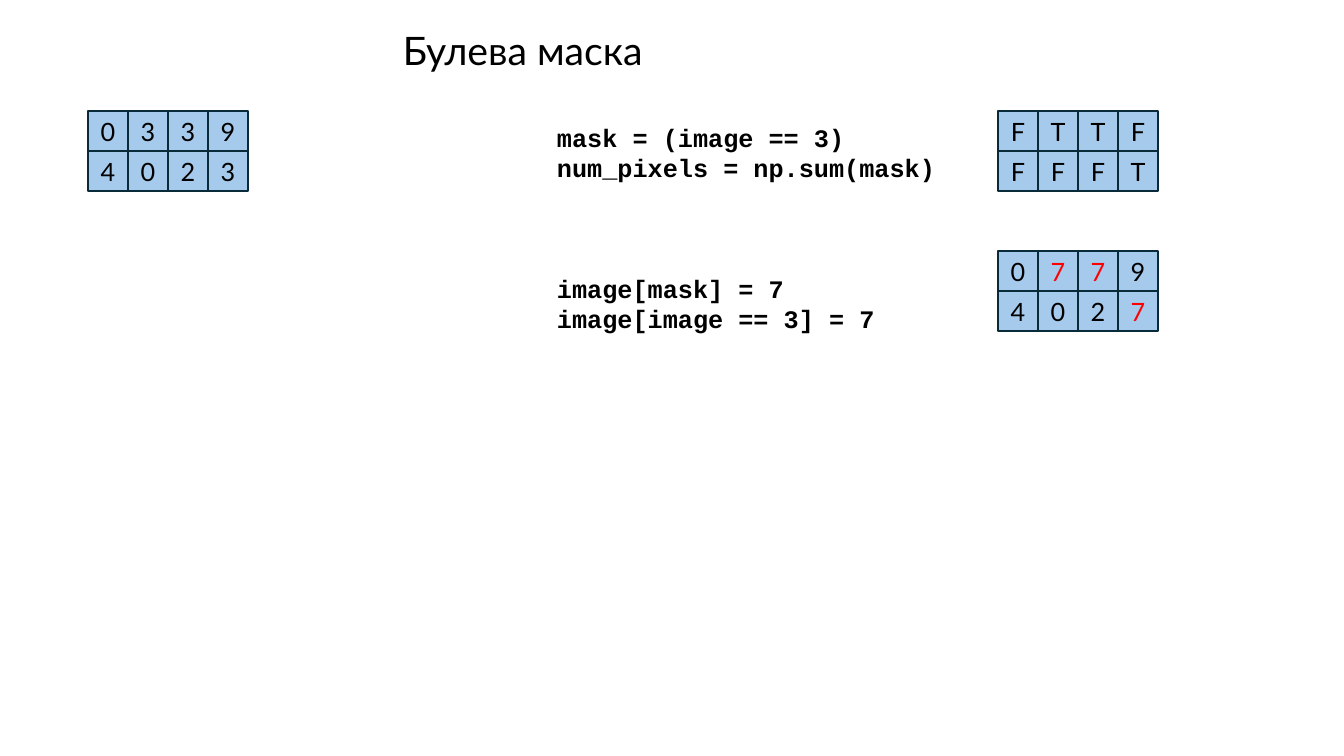
from pptx import Presentation, util as u
from pptx.dml.color import RGBColor
from pptx.enum import shapes, text

theme = {
    "ink": "000000", "mark": "FF0000", "fill": "A6CAEC", "edge": "092A39",
    "sans": "Lato", "mono": "Courier New",
    "head": 28, "body": 18, "line": 1.5, "lead": 21.6, "gap": 64.8,
}


def px(n):
    return u.Emu(round(n * 914400 / 100.8))


def write(frame, lines, size, face, ink="ink", bold=False, align=text.PP_ALIGN.LEFT):
    frame.text = "\n".join(lines)
    for para in frame.paragraphs:
        para.alignment = align
        font = para.runs[0].font
        look = {"name": theme[face], "size": u.Pt(theme[size]), "bold": bold}
        for key, val in look.items():
            setattr(font, key, val)
        font.color.rgb = RGBColor.from_string(theme[ink])


deck = Presentation()
deck.slide_width, deck.slide_height = px(1344), px(756)
slide = deck.slides.add_slide(deck.slide_layouts[6])

title = slide.shapes.add_textbox(px(393), px(21), px(261), px(57)).text_frame
title.word_wrap = False
write(title, ["Булева маска"], "head", "sans")

code = slide.shapes.add_textbox(px(547), px(85), px(400), px(316)).text_frame
code.word_wrap = False
code.margin_top = px(37)
write(code, [
    "mask = (image == 3)",
    "num_pixels = np.sum(mask)",
    "image[mask] = 7",
    "image[image == 3] = 7",
], "body", "mono", bold=True)
for para in code.paragraphs:
    para.line_spacing = u.Pt(theme["lead"])
code.paragraphs[2].space_before = u.Pt(theme["gap"])

side = 40
grids = [
    (88, 111, ["0339", "4023"]),
    (998, 111, ["FTTF", "FFFT"]),
    (998, 251, ["0779", "4027"]),
]
for left, top, rows in grids:
    for r, row in enumerate(rows):
        for c, sign in enumerate(row):
            cell = slide.shapes.add_shape(
                shapes.MSO_SHAPE.RECTANGLE,
                px(left + c * side), px(top + r * side), px(side), px(side))
            cell.shadow.inherit = False
            cell.fill.solid()
            cell.fill.fore_color.rgb = RGBColor.from_string(theme["fill"])
            cell.line.color.rgb = RGBColor.from_string(theme["edge"])
            cell.line.width = u.Pt(theme["line"])
            frame = cell.text_frame
            frame.vertical_anchor = text.MSO_ANCHOR.MIDDLE
            for edge in ("left", "right", "top", "bottom"):
                setattr(frame, f"margin_{edge}", 0)
            ink = "mark" if sign == "7" else "ink"
            write(frame, [sign], "body", "sans", ink, align=text.PP_ALIGN.CENTER)

deck.save("out.pptx")
